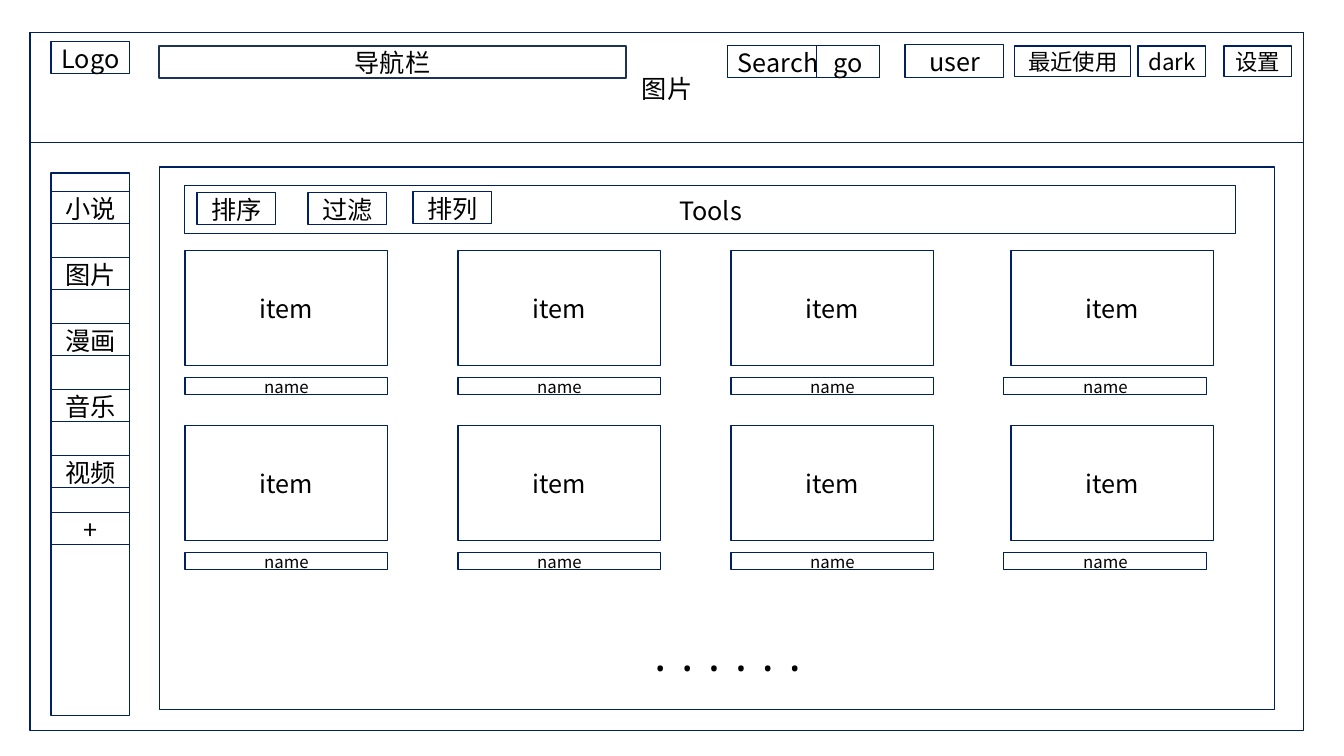
from pptx import Presentation, util as u
from pptx.dml.color import RGBColor
from pptx.enum import shapes, text
from pptx.oxml.ns import qn
from lxml import etree

SCALE = 914400 / 100.8
SANS, MONO = "Noto Sans CJK SC", "Noto Sans Mono"
NAVY, SLATE, BLACK = "002060", "1E3256", "000000"
CENTER, LEFT = text.PP_ALIGN.CENTER, text.PP_ALIGN.LEFT


def px(n):
    return u.Emu(round(n * SCALE))


def rgb(value):
    return RGBColor.from_string(value)


def write(sp, words, size=18, font=SANS, align=CENTER, inset=0,
          anchor=text.MSO_ANCHOR.MIDDLE):
    tf = sp.text_frame
    tf.word_wrap = True
    tf.vertical_anchor = anchor
    tf.margin_left = tf.margin_right = px(inset)
    tf.margin_top = tf.margin_bottom = 0
    p = tf.paragraphs[0]
    p.alignment = align
    r = p.add_run()
    r.text = words
    r.font.size = u.Pt(size)
    r.font.name = font
    r.font.color.rgb = rgb(BLACK)
    # East Asian glyphs take the same typeface
    ea = etree.Element(qn("a:ea"), typeface=font)
    r.font._element.find(qn("a:latin")).addnext(ea)


def outline(s, box, part, words="", color=NAVY, weight=0.75, **fmt):
    """Draw an unfilled rectangle placed relative to box; return its own box."""
    x, y, w, h = box[0] + part[0], box[1] + part[1], part[2], part[3]
    sp = s.shapes.add_shape(shapes.MSO_SHAPE.RECTANGLE, px(x), px(y), px(w), px(h))
    sp.shadow.inherit = False
    sp.fill.background()
    sp.line.color.rgb = rgb(color)
    sp.line.width = u.Pt(weight)
    if words:
        write(sp, words, **fmt)
    return x, y, w, h


def header(s, box):
    outline(s, box, (0, 0, box[2], box[3]), "图片")
    outline(s, box, (21, 9, 79, 32), "Logo")
    outline(s, box, (129, 13, 467, 32), "导航栏", color=SLATE, weight=1)
    # Search field with its button at the right end
    search = outline(s, box, (698, 13, 152, 32), "Search", align=LEFT, inset=10)
    outline(s, search, (89, 0, 63, 32), "go")
    # User controls
    outline(s, box, (875, 12, 99, 33), "user")
    for x, w, label in ((985, 116, "最近使用"), (1108, 68, "dark"), (1194, 68, "设置")):
        outline(s, box, (x, 13, w, 31), label, size=16)


def sidebar(s, box):
    outline(s, box, (0, 0, box[2], box[3]))
    for i, label in enumerate(("小说", "图片", "漫画", "音乐", "视频")):
        outline(s, box, (0, 19 + 66 * i, box[2], 32), label)
    outline(s, box, (0, 340, box[2], 32), "+")


def toolbar(s, box):
    outline(s, box, (0, 0, box[2], box[3]), "Tools")
    for x, y, label in ((12, 7, "排序"), (123, 7, "过滤"), (228, 6, "排列")):
        outline(s, box, (x, y, 79, 32), label)


def gallery(s, box, rows=2, cols=4):
    for row in range(rows):
        for col in range(cols):
            x, y = 273 * col, 175 * row
            shift = 7 if col == cols - 1 else 0  # last item sits right of its name
            outline(s, box, (x + shift, y, 203, 115), "item")
            outline(s, box, (x, y + 127, 203, 17), "name", size=12)


def content(s, box):
    x, y, w, h = box
    outline(s, box, (0, 0, w, h))
    toolbar(s, (x + 26, y + 19, 1051, 48))
    gallery(s, (x + 26, y + 84, 1022, 319))
    # More items follow
    more = s.shapes.add_textbox(px(x + 478), px(y + 460), px(187), px(54))
    write(more, "......", size=32, font=MONO, align=LEFT, inset=10,
          anchor=text.MSO_ANCHOR.TOP)


prs = Presentation()
prs.slide_width, prs.slide_height = px(1344), px(756)
s = prs.slides.add_slide(prs.slide_layouts[6])

page = outline(s, (0, 0), (30, 33, 1274, 698))
header(s, (page[0], page[1], page[2], 110))
sidebar(s, (51, 173, 79, 543))
content(s, (159, 167, 1116, 543))

prs.save("out.pptx")
